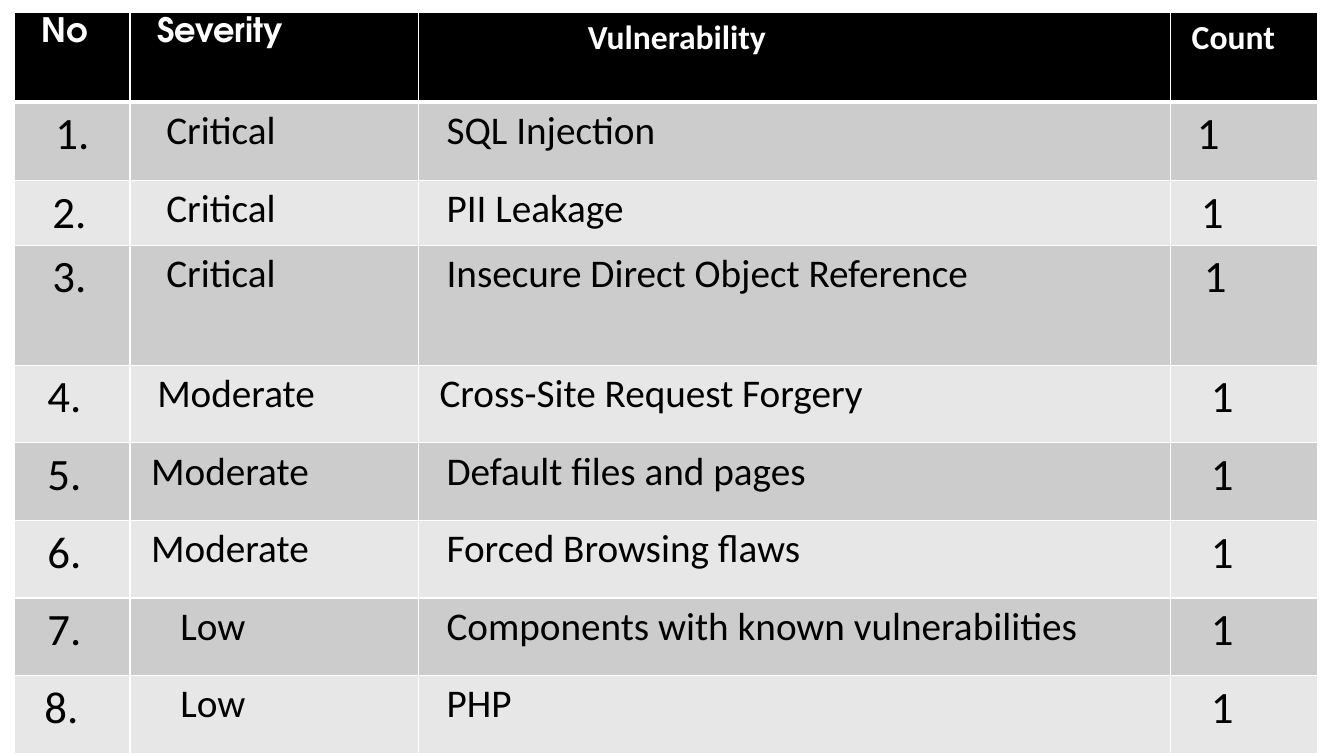
from lxml.etree import SubElement
from pptx import Presentation
from pptx.dml.color import RGBColor as Color
from pptx.oxml.ns import qn
from pptx.util import Inches, Pt

COLORS = {"header": "000000", "odd": "CCCCCC", "even": "E7E7E7",
          "text": "000000", "light": "FFFFFF"}
COLUMN_WIDTHS = [1.15, 2.86, 7.46, 1.46]
ROW_HEIGHTS = [0.89, 0.78, 0.64, 1.19] + [0.77] * 5
BODY_SIZES = [32, 28, 28, 32]
HEADERS = [("No", 0.27, "TeX Gyre Adventor"), ("Severity", 0.27, "TeX Gyre Adventor"),
           ("Vulnerability", 1.68, "Calibri"), ("Count", 0.21, "Calibri")]
SEVERITY_INDENTS = {"Critical": 0.36, "Moderate": 0.21, "Low": 0.5}
FINDINGS = [
    ("Critical", "SQL Injection"),
    ("Critical", "PII Leakage"),
    ("Critical", "Insecure Direct Object Reference"),
    ("Moderate", "Cross-Site Request Forgery"),
    ("Moderate", "Default files and pages"),
    ("Moderate", "Forced Browsing flaws"),
    ("Low", "Components with known vulnerabilities"),
    ("Low", "PHP"),
]
NUMBER_INDENTS = [0.41, 0.38, 0.38, 0.33, 0.33, 0.33, 0.33, 0.3]
COUNT_INDENTS = [0.26, 0.3, 0.33] + [0.4] * 5


def write_text(paragraph, text, size=28, font="Calibri", color="text", bold=False):
    """Add one formatted run to a paragraph."""
    run = paragraph.add_run()
    run.text = text
    run.font.size = Pt(size)
    run.font.name = font
    run.font.bold = bold
    run.font.color.rgb = Color.from_string(COLORS[color])


class SlideBuilder:
    """Hold the colours and the current slide, and draw its elements."""

    def __init__(self, slide, colors):
        self.slide = slide
        self.colors = colors

    def table(self, left, top, widths, heights):
        """Add an empty table with the given column widths and row heights."""
        frame = self.slide.shapes.add_table(
            len(heights), len(widths), Inches(left), Inches(top),
            Inches(sum(widths)), Inches(sum(heights)))
        for column, width in zip(frame.table.columns, widths):
            column.width = Inches(width)
        for row, height in zip(frame.table.rows, heights):
            row.height = Inches(height)
        return frame.table

    def cell(self, cell, text, indent, fill, bottom=1, **text_format):
        """Fill, border and write one table cell."""
        cell.margin_left = Inches(indent)
        self.borders(cell, {"lnL": 1, "lnR": 1, "lnT": 1, "lnB": bottom})
        cell.fill.solid()
        cell.fill.fore_color.rgb = Color.from_string(self.colors[fill])
        write_text(cell.text_frame.paragraphs[0], text, **text_format)

    def borders(self, cell, widths):
        """Draw light cell borders of the given widths in points."""
        properties = cell._tc.get_or_add_tcPr()
        for side, width in widths.items():
            line = SubElement(properties, qn(f"a:{side}"), w=str(Pt(width)))
            fill = SubElement(line, qn("a:solidFill"))
            SubElement(fill, qn("a:srgbClr"), val=self.colors["light"])


def main():
    """Build the vulnerability summary slide."""
    presentation = Presentation()
    presentation.slide_width = Inches(13.33)
    presentation.slide_height = Inches(7.5)
    slide = presentation.slides.add_slide(presentation.slide_layouts[6])
    builder = SlideBuilder(slide, COLORS)
    table = builder.table(0.14, 0.12, COLUMN_WIDTHS, ROW_HEIGHTS)

    for column, (text, indent, font) in enumerate(HEADERS):
        builder.cell(table.cell(0, column), text, indent, "header", bottom=3,
                     size=24, font=font, color="light", bold=True)

    for number, (severity, vulnerability) in enumerate(FINDINGS, start=1):
        texts = [f"{number}.", severity, vulnerability, "1"]
        first_moderate = number == 4
        indents = [NUMBER_INDENTS[number - 1],
                   0.27 if first_moderate else SEVERITY_INDENTS[severity],
                   0.21 if first_moderate else 0.28,
                   COUNT_INDENTS[number - 1]]
        fill = "odd" if number % 2 else "even"
        for column, (text, indent, size) in enumerate(zip(texts, indents, BODY_SIZES)):
            builder.cell(table.cell(number, column), text, indent, fill, size=size)

    presentation.save("out.pptx")


if __name__ == "__main__":
    main()
